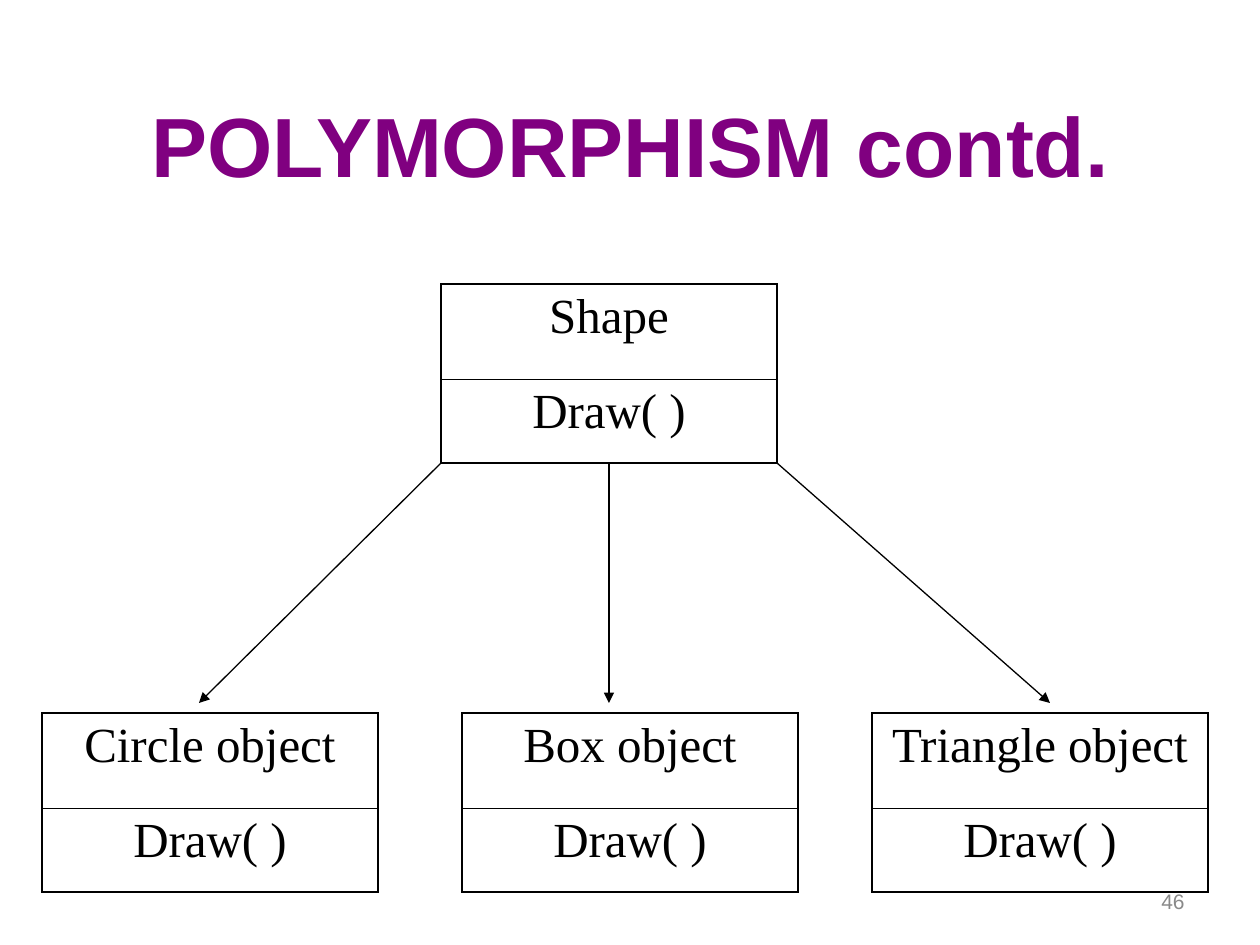
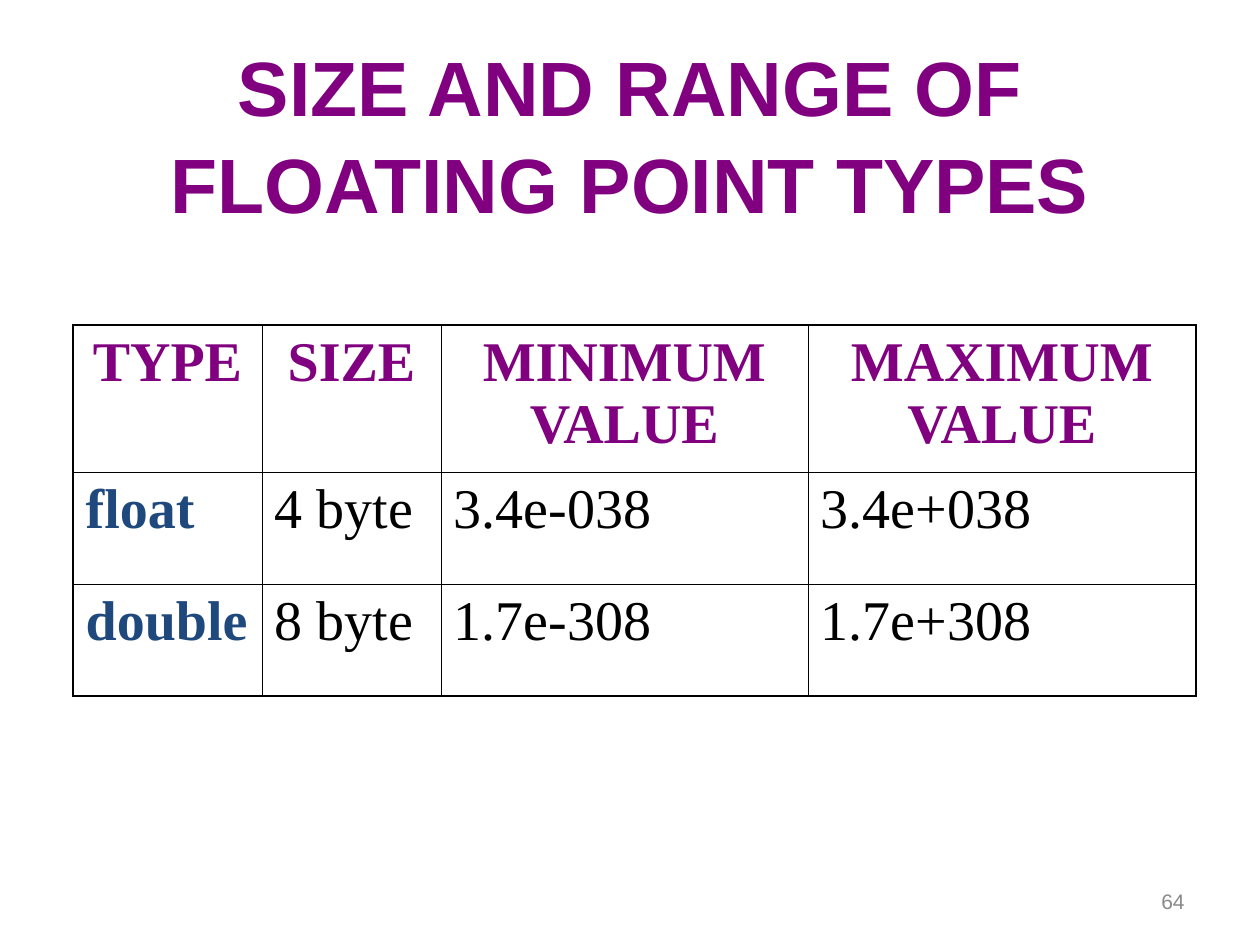
from lxml import etree
from pptx import Presentation
from pptx import util as u
from pptx.dml.color import RGBColor
from pptx.enum import shapes, text
from pptx.oxml.ns import qn

PX_PER_INCH = 126
BLACK, PURPLE, NAVY, GREY = "000000", "800080", "1F497D", "898989"
SANS, SERIF = "Arial", "Times New Roman"
OUTER, INNER = 1.08, 0.45
LEFT, CENTER, RIGHT = text.PP_ALIGN.LEFT, text.PP_ALIGN.CENTER, text.PP_ALIGN.RIGHT
CLASS_WIDTH, CLASS_ROWS = 336, [95, 84]


def px(length):
    return u.Inches(length / PX_PER_INCH)


def color(value):
    return RGBColor.from_string(value)


def style_para(para, words, face, size, tint, align, bold=False):
    para.text = words
    para.alignment = align
    font = para.font
    font.name, font.size, font.bold = face, u.Pt(size), bold
    font.color.rgb = color(tint)


def add_text(page, area, words, size, tint, align, bold=False):
    box = page.shapes.add_textbox(*map(px, area))
    frame = box.text_frame
    frame.word_wrap = True
    frame.vertical_anchor = text.MSO_ANCHOR.MIDDLE
    para = frame.paragraphs[0]
    style_para(para, words, SANS, size, tint, align, bold)
    return para


def add_page(deck, title, area, size, number):
    page = deck.slides.add_slide(deck.slide_layouts[6])
    add_text(page, (903, 876, 294, 50), number, 12, GREY, RIGHT)
    heading = add_text(page, area, title, size, PURPLE, CENTER, True)
    heading.line_spacing = 1.05
    return page


def set_borders(cell, widths):
    properties = cell._tc.get_or_add_tcPr()
    for side, width in zip("LRTB", widths):
        line = etree.SubElement(properties, qn(f"a:ln{side}"), w=str(u.Pt(width)))
        fill = etree.SubElement(line, qn("a:solidFill"))
        etree.SubElement(fill, qn("a:srgbClr"), val=BLACK)


def add_grid(page, left, top, columns, heights, rows, size, space, style):
    frame = page.shapes.add_table(len(rows), len(columns), px(left), px(top),
                                  px(sum(columns)), px(sum(heights)))
    table = frame.table
    table.first_row = table.horz_banding = False
    for column, width in zip(table.columns, columns):
        column.width = px(width)
    for row, height in zip(table.rows, heights):
        row.height = px(height)
    for r, words in enumerate(rows):
        for c, word in enumerate(words):
            cell = table.cell(r, c)
            edges = (c == 0, c == len(columns) - 1, r == 0, r == len(rows) - 1)
            set_borders(cell, [OUTER if edge else INNER for edge in edges])
            cell.fill.background()
            para = cell.text_frame.paragraphs[0]
            style_para(para, word, SERIF, size, *style(r, c))
            para.space_before = u.Pt(space)


def class_style(row, column):
    return BLACK, CENTER


def type_style(row, column):
    if row == 0:
        return PURPLE, CENTER, True
    if column == 0:
        return NAVY, LEFT, True
    return BLACK, LEFT


def add_class(page, left, top, name):
    add_grid(page, left, top, [CLASS_WIDTH], CLASS_ROWS,
             [[name], ["Draw( )"]], 28, 7, class_style)


def add_arrow(page, start, end):
    arrow = page.shapes.add_connector(shapes.MSO_CONNECTOR.STRAIGHT,
                                      *map(px, start + end))
    arrow.line.color.rgb = color(BLACK)
    arrow.line.width = u.Pt(0.75)
    etree.SubElement(arrow.line._get_or_add_ln(), qn("a:tailEnd"), type="triangle")
    etree.SubElement(arrow._element.spPr, qn("a:effectLst"))


def build_polymorphism(deck):
    page = add_page(deck, "POLYMORPHISM contd.", (95, 73, 1071, 136), 48, "46")
    parent_left, parent_top, child_top = 441, 284, 713
    add_class(page, parent_left, parent_top, "Shape")
    for left, name in ((872, "Triangle object"), (462, "Box object"),
                       (42, "Circle object")):
        add_class(page, left, child_top, name)
    parent_bottom = parent_top + sum(CLASS_ROWS)
    middle = parent_left + CLASS_WIDTH // 2
    for start, end in ((middle, middle), (parent_left, 199),
                       (parent_left + CLASS_WIDTH, 1050)):
        add_arrow(page, (start, parent_bottom), (end, child_top - 10))


def build_floating_types(deck):
    page = add_page(deck, "SIZE AND RANGE OF FLOATING POINT TYPES",
                    (95, 53, 1071, 157), 44, "64")
    rows = [["TYPE", "SIZE", "MINIMUM VALUE", "MAXIMUM VALUE"],
            ["float", "4 byte", "3.4e-038", "3.4e+038"],
            ["double", "8 byte", "1.7e-308", "1.7e+308"]]
    add_grid(page, 73, 325, [189, 179, 367, 388], [147, 112, 112],
             rows, 32, 8, type_style)


def main():
    deck = Presentation()
    deck.slide_width, deck.slide_height = px(1260), px(945)
    build_polymorphism(deck)
    build_floating_types(deck)
    deck.save("out.pptx")


if __name__ == "__main__":
    main()
